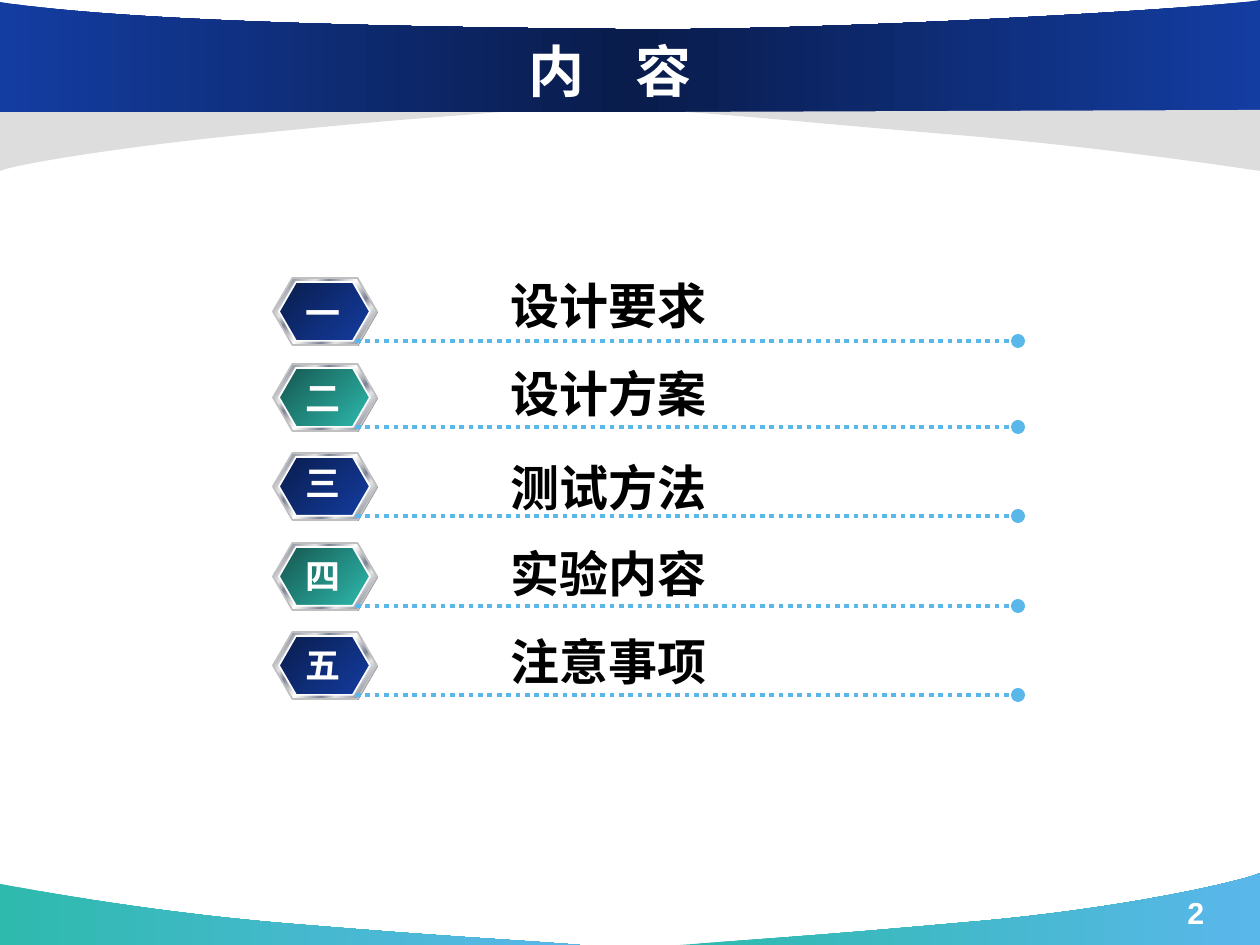
import pptx
import pptx.dml.color
import pptx.enum.dml
import pptx.enum.shapes
import pptx.enum.text
import pptx.oxml.ns
import pptx.util
from lxml import etree

RGB = pptx.dml.color.RGBColor
ALIGN = pptx.enum.text.PP_ALIGN
qn = pptx.oxml.ns.qn

PX = 914400 / 168
CJK = "Noto Sans CJK SC"

WHITE = RGB(0xFF, 0xFF, 0xFF)
BLACK = RGB(0, 0, 0)
BLUE = RGB(0x14, 0x3D, 0xA2)
NAVY = RGB(0x09, 0x1C, 0x4B)
TEAL = RGB(0x2E, 0xBA, 0xAD)
DEEP_TEAL = RGB(0x15, 0x56, 0x4F)
SKY = RGB(0x5A, 0xB7, 0xEA)
PALE_GREY = RGB(0xDD, 0xDD, 0xDD)
SHADE = RGB(0x80, 0x80, 0x80)
RIM = RGB(0xC0, 0xC0, 0xC0)
SILVER = RGB(0xE6, 0xE6, 0xE6)
STEEL = RGB(0x7D, 0x84, 0x96)

METAL = [(0, SILVER), (8, STEEL), (26, SILVER), (34, STEEL), (46, SILVER), (50, WHITE),
         (54, SILVER), (66, STEEL), (74, SILVER), (92, STEEL), (100, SILVER)]
BADGE_FILLS = [[(0, NAVY), (100, BLUE)], [(0, DEEP_TEAL), (100, TEAL)]]

TITLE_FONT = {"size": pptx.util.Pt(24), "name": CJK, "bold": True}
LABEL_FONT = {"size": pptx.util.Pt(21), "name": CJK, "bold": True}
NUMBER_FONT = {"size": pptx.util.Pt(15), "name": "Arial", "bold": True}
PAGE_FONT = {"size": pptx.util.Pt(13), "name": "Arial", "bold": True}

# number, label, row top, number offset, label offset
ROWS = [
    ("一", "设计要求", 278, 5, -11),
    ("二", "设计方案", 364, 4, -9),
    ("三", "测试方法", 453, 0, -4),
    ("四", "实验内容", 543, 3, -8),
    ("五", "注意事项", 632, 3, -9),
]


def px(*lengths):
    return [pptx.util.Emu(round(n * PX)) for n in lengths]


def paint(shape, fill, angle=0, line=None):
    """Fill with one colour or a list of gradient stops."""
    shape.shadow.inherit = False
    if isinstance(fill, list):
        shape.fill.gradient()
        shape.fill.gradient_angle = (360 - angle) % 360
        stops = shape._element.spPr.find(".//" + qn("a:gsLst"))
        for gs in list(stops):
            stops.remove(gs)
        for pos, colour in fill:
            gs = etree.SubElement(stops, qn("a:gs"), pos=str(pos * 1000))
            etree.SubElement(gs, qn("a:srgbClr"), val=str(colour))
    else:
        shape.fill.solid()
        shape.fill.fore_color.rgb = fill
    if line is None:
        shape.line.fill.background()
    else:
        shape.line.color.rgb = line
        shape.line.width = pptx.util.Pt(0.75)


def write(tf, text, font, colour, align=ALIGN.LEFT):
    p = tf.paragraphs[0]
    p.alignment = align
    r = p.add_run()
    r.text = text
    for key, value in font.items():
        setattr(r.font, key, value)
    r.font.color.rgb = colour
    etree.SubElement(r._r.get_or_add_rPr(), qn("a:ea"), typeface=CJK)
    return r


def add_text(s, box, text, font, colour, align=ALIGN.LEFT):
    tf = s.shapes.add_textbox(*px(*box)).text_frame
    tf.word_wrap = False
    write(tf, text, font, colour, align)


def add_sweep(s, box, controls, corners, fill):
    """An outline of two joined cubic curves, closed through straight corners."""
    points = [px(box[0] + x, box[1] + y) for x, y in controls + corners]
    builder = s.shapes.build_freeform(*points[0], scale=1.0)
    builder.add_line_segments(points[1:], close=True)
    shape = builder.convert_to_shape()
    # Each three points after the start become one curve
    segments = shape._element.findall(".//" + qn("a:lnTo"))
    for i in range(0, len(controls) - 1, 3):
        bezier = etree.Element(qn("a:cubicBezTo"))
        segments[i].addprevious(bezier)
        for segment in segments[i:i + 3]:
            bezier.append(segment[0])
            segment.getparent().remove(segment)
    paint(shape, fill)


def add_footer(s, box):
    x, y, w, h = box
    fill = [(0, TEAL), (100, SKY)]
    add_sweep(s, box, [(580, h), (484, 65), (450, 64), (292, 51), (133, 38), (2, 11), (0, 11)],
              [(0, h)], fill)
    add_sweep(s, box, [(680, h), (773, 65), (813, 63), (969, 49), (1124, 36), (1247, 7), (w, 0)],
              [(w, h)], fill)
    add_text(s, (x + 1171, y + 13, 89, 59), "2", PAGE_FONT, WHITE)


def add_header(s, box):
    x, y, w, h = box
    # Grey wings and blue band
    add_sweep(s, box, [(501, 112), (417, 119), (401, 119), (262, 133), (123, 146), (12, 165), (0, h)],
              [(0, 109)], PALE_GREY)
    add_sweep(s, box, [(w, 0), (1215, 8), (823, 32), (613, 29), (405, 27), (128, 22), (0, 2)],
              [(0, 112), (w, 112)], [(0, BLUE), (50, NAVY), (100, BLUE)])
    add_sweep(s, box, [(685, 112), (781, 119), (810, 123), (968, 136), (1127, 150), (1258, h), (w, h)],
              [(w, 110)], PALE_GREY)
    # Title, brought in front of the band
    title = s.shapes.title
    title.left, title.top, title.width, title.height = px(x + 116, y + 32, 988, 77)
    tf = title.text_frame
    tf.auto_size = pptx.enum.text.MSO_AUTO_SIZE.NONE
    tf.vertical_anchor = pptx.enum.text.MSO_ANCHOR.MIDDLE
    r = write(tf, "内　容", TITLE_FONT, WHITE, ALIGN.CENTER)
    r._r.get_or_add_rPr().set("spc", "-100")
    s.shapes._spTree.append(title._element)


def add_badge(s, box, fill):
    x, y, w, h = box
    group = s.shapes.add_group_shape()
    layers = [
        ((x + 1, y + 1, w, h), SHADE, None),
        ((x, y, w, h), METAL, RIM),
        ((x + 6, y + 4, w - 13, h - 8), fill, WHITE),
    ]
    for part, colours, line in layers:
        hexagon = group.shapes.add_shape(pptx.enum.shapes.MSO_SHAPE.HEXAGON, *px(*part))
        hexagon.adjustments[0] = 0.29
        paint(hexagon, colours, 45, line)


def add_rule(s, x1, x2, y):
    rule = s.shapes.add_connector(pptx.enum.shapes.MSO_CONNECTOR.STRAIGHT, *px(x1, y, x2, y))
    rule.line.color.rgb = SKY
    rule.line.width = pptx.util.Pt(2)
    rule.line.dash_style = pptx.enum.dml.MSO_LINE.ROUND_DOT
    etree.SubElement(rule._element.spPr.find(qn("a:ln")), qn("a:tailEnd"), type="oval")
    etree.SubElement(rule._element.spPr, qn("a:effectLst"))


def add_contents(s, x, w):
    for i, (number, label, y, number_dy, label_dy) in enumerate(ROWS):
        add_badge(s, (x, y, 104, 67), BADGE_FILLS[i % 2])
        add_rule(s, x + 83, x + w, y + 63)
        add_text(s, (x + 221, y + label_dy, 234, 76), label, LABEL_FONT, BLACK)
        add_text(s, (x + 16, y + number_dy, 69, 59), number, NUMBER_FONT, WHITE, ALIGN.CENTER)


def main():
    prs = pptx.Presentation()
    prs.slide_width, prs.slide_height = px(1260, 945)
    s = prs.slides.add_slide(prs.slide_layouts[5])
    add_footer(s, (0, 873, 1260, 72))
    add_header(s, (0, 0, 1260, 171))
    add_contents(s, 273, 745)
    prs.save("out.pptx")


if __name__ == "__main__":
    main()
